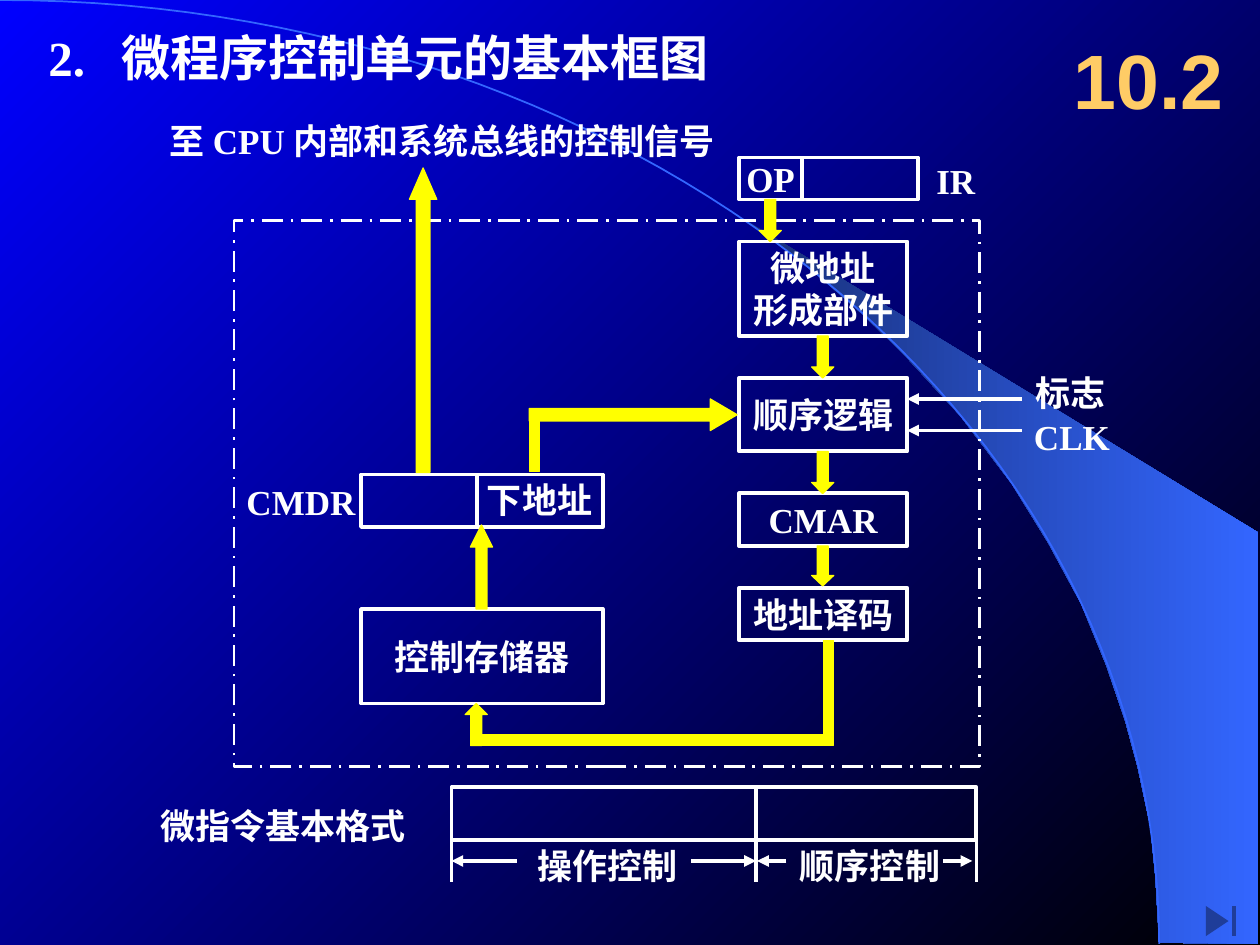
"""Build the slide on the basic block diagram of a microprogrammed control unit."""
from dataclasses import dataclass

from lxml.etree import SubElement
from pptx import Presentation
from pptx.dml.color import RGBColor
from pptx.enum.dml import MSO_LINE
from pptx.enum.shapes import MSO_CONNECTOR, MSO_SHAPE
from pptx.enum.text import MSO_ANCHOR, MSO_AUTO_SIZE, PP_ALIGN
from pptx.oxml.ns import qn
from pptx.util import Inches, Pt


@dataclass(frozen=True)
class Theme:
    white: RGBColor = RGBColor(0xFF, 0xFF, 0xFF)
    yellow: RGBColor = RGBColor(0xFF, 0xFF, 0x00)
    gold: RGBColor = RGBColor(0xFF, 0xCC, 0x66)
    blue: RGBColor = RGBColor(0x00, 0x00, 0xFF)
    black: RGBColor = RGBColor(0x00, 0x00, 0x00)
    sky: RGBColor = RGBColor(0x33, 0x66, 0xFF)
    navy: RGBColor = RGBColor(0x18, 0x2F, 0x76)
    icon: RGBColor = RGBColor(0x1F, 0x3D, 0x99)
    serif: str = "Times New Roman"
    sans: str = "Arial"
    body: int = 20
    heading: int = 28
    section: int = 44


theme = Theme()
deck = Presentation()
deck.slide_width, deck.slide_height = Inches(10), Inches(7.5)
slide = deck.slides.add_slide(deck.slide_layouts[5])
shapes = slide.shapes
cell = deck.slide_width / 120


def grid(*cells):
    return [round(count * cell) for count in cells]


def write(frame, text, size=theme.body, color=theme.white, font=theme.serif,
          align=PP_ALIGN.LEFT, anchor=MSO_ANCHOR.TOP):
    frame.word_wrap = False
    frame.auto_size = MSO_AUTO_SIZE.NONE
    frame.vertical_anchor = anchor
    for number, line_text in enumerate(text.split("\n")):
        paragraph = frame.add_paragraph() if number else frame.paragraphs[0]
        paragraph.alignment = align
        run = paragraph.add_run()
        run.text = line_text
        run.font.name, run.font.size, run.font.bold = font, Pt(size), True
        run.font.color.rgb = color


backdrop = slide.background.fill
backdrop.gradient()
backdrop.gradient_angle = 315
for stop, color in zip(backdrop.gradient_stops, (theme.blue, theme.black)):
    stop.color.rgb = color

beam_points = [
    (9.2, 7.48), (9.99, 7.49), (9.99, 4.23), (5.89, 1.73), (6.24, 1.99), (6.53, 2.22),
    (6.85, 2.5), (7.16, 2.8), (7.62, 3.3), (8.03, 3.84), (8.32, 4.31), (8.58, 4.79),
    (8.78, 5.28), (8.93, 5.72), (9.03, 6.09), (9.13, 6.56), (9.17, 6.96)]
arc_points = []
for step in range(61):
    t = step / 60
    s = 1 - t
    arc_points.append((3 * s * s * t * 5.08 + (3 * s * t * t + t ** 3) * 9.2,
                       3 * s * t * t * 3.35 + t ** 3 * 7.49))
play_points = [(9.75, 7.31), (9.57, 7.43), (9.57, 7.19)]
bar_points = [(9.78, 7.19), (9.78, 7.43), (9.81, 7.43), (9.81, 7.19)]

button = shapes.add_shape(MSO_SHAPE.BEVEL, *grid(112.7, 85.6, 7.1, 4.3))
button.adjustments[0] = 0.07
button.shadow.inherit = False
button.fill.solid()
button.fill.fore_color.rgb = theme.sky
button.line.fill.background()

for points, closed in ((beam_points, True), (arc_points, False),
                       (play_points, True), (bar_points, True)):
    corners = [(Inches(x), Inches(y)) for x, y in points]
    builder = shapes.build_freeform(*corners[0], scale=1.0)
    builder.add_line_segments(corners[1:], close=closed)
    outline = builder.convert_to_shape()
    outline.shadow.inherit = False
    if points is beam_points:
        outline.fill.gradient()
        outline.fill.gradient_angle = 0
        for stop, color in zip(outline.fill.gradient_stops, (theme.navy, theme.sky)):
            stop.color.rgb = color
    elif closed:
        outline.fill.solid()
        outline.fill.fore_color.rgb = theme.icon
    else:
        outline.fill.background()
    if closed:
        outline.line.fill.background()
    else:
        outline.line.color.rgb = theme.sky
        outline.line.width = Pt(1)

heading = shapes.title
heading.left, heading.top, heading.width, heading.height = grid(3.4, 2, 65.3, 6.9)
write(heading.text_frame, "2.\t微程序控制单元的基本框图", theme.heading)
heading_format = heading.text_frame.paragraphs[0]._p.get_or_add_pPr()
SubElement(SubElement(heading_format, qn("a:tabLst")), qn("a:tab"),
           pos=str(Inches(0.58)), algn="l")
heading._element.getparent().append(heading._element)

section = shapes.add_textbox(*grid(101.1, 2, 18.9, 11))
write(section.text_frame, "10.2", theme.section, theme.gold, theme.sans,
      anchor=MSO_ANCHOR.MIDDLE)

stack_left, store_left, format_left = 70.4, 34.4, 43
blocks = [
    (stack_left, 15, 6, 4, "OP"),
    (stack_left + 6, 15, 11, 4, ""),
    (stack_left, 23, 16, 9, "微地址\n形成部件"),
    (stack_left, 36, 16, 7, "顺序逻辑"),
    (stack_left, 47, 16, 5, "CMAR"),
    (stack_left, 56, 16, 5, "地址译码"),
    (store_left, 45.2, 23, 5, ""),
    (store_left, 58, 23, 9, "控制存储器"),
    (format_left, 75, 29, 5, ""),
    (format_left + 29, 75, 21, 5, ""),
    (22.3, 21, 71, 52, ""),
]
for *cells, text in blocks:
    block = shapes.add_shape(MSO_SHAPE.RECTANGLE, *grid(*cells))
    block.shadow.inherit = False
    block.fill.background()
    block.line.color.rgb = theme.white
    block.line.width = Pt(2.25)
    if text:
        write(block.text_frame, text, align=PP_ALIGN.CENTER, anchor=MSO_ANCHOR.MIDDLE)
unit_frame = block
unit_frame.line.width = Pt(1.5)
unit_frame.line.dash_style = MSO_LINE.LONG_DASH_DOT

flows = [
    (MSO_SHAPE.DOWN_ARROW, (72.3, 19, 2.1, 4), (0.5, 0.5)),
    (MSO_SHAPE.DOWN_ARROW, (77.3, 32, 2.1, 4), (0.5, 0.5)),
    (MSO_SHAPE.DOWN_ARROW, (77.3, 43, 2.1, 4), (0.5, 0.5)),
    (MSO_SHAPE.DOWN_ARROW, (77.3, 52, 2.1, 3.8), (0.5, 0.47)),
    (MSO_SHAPE.UP_ARROW, (44.8, 50, 2.1, 8), (0.5, 1)),
    (MSO_SHAPE.RIGHT_ARROW, (50.4, 38, 19.8, 3), (0.39, 0.85)),
    (MSO_SHAPE.RECTANGLE, (50.4, 39.1, 1, 5.8), ()),
    (MSO_SHAPE.RECTANGLE, (78.4, 61, 1, 10), ()),
    (MSO_SHAPE.UP_ARROW, (44.3, 67, 2.1, 4), (0.5, 0.5)),
    (MSO_SHAPE.RECTANGLE, (45.4, 70, 33, 1), ()),
    (MSO_SHAPE.UP_ARROW, (39, 16, 2.6, 29), (0.5, 1.15)),
]
for preset, cells, proportions in flows:
    flow = shapes.add_shape(preset, *grid(*cells))
    for index, proportion in enumerate(proportions):
        flow.adjustments[index] = proportion
    flow.shadow.inherit = False
    flow.fill.solid()
    flow.fill.fore_color.rgb = theme.yellow
    flow.line.color.rgb = theme.yellow
    flow.line.width = Pt(0.75)

divider = [(store_left + 11, 45.2, store_left + 11, 50.2, False)]
inputs = [(97.3, row, 86.4, row, True) for row in (38, 41)]
ticks = [(column, 79, column, 84, False) for column in (43, 72, 93)]
spans = [(start, 82, end, 82, True) for start, end in
         ((65.8, 72), (49.2, 43), (89.8, 92.6), (74.9, 72.1))]
for *ends, pointed in divider + inputs + ticks + spans:
    rule = shapes.add_connector(MSO_CONNECTOR.STRAIGHT, *grid(*ends))
    rule.line.color.rgb = theme.white
    rule.line.width = Pt(2.25)
    if pointed:
        SubElement(rule.line._get_or_add_ln(), qn("a:tailEnd"), type="triangle")
    SubElement(rule._element.spPr, qn("a:effectLst"))

captions = [
    (15, 10.8, 55.8, "至 CPU 内部和系统总线的控制信号"),
    (88, 14.6, 6, "IR"),
    (97.4, 34.8, 9, "标志"),
    (97.3, 39, 9.6, "CLK"),
    (22.3, 45.2, 12.7, "CMDR"),
    (45.2, 45, 12.4, "下地址"),
    (14.1, 76, 25.8, "微指令基本格式"),
    (50, 79.8, 15.7, "操作控制"),
    (75, 79.8, 15.7, "顺序控制"),
]
for column, row, width, text in captions:
    caption = shapes.add_textbox(*grid(column, row, width, 5.3))
    write(caption.text_frame, text)

deck.save("out.pptx")
